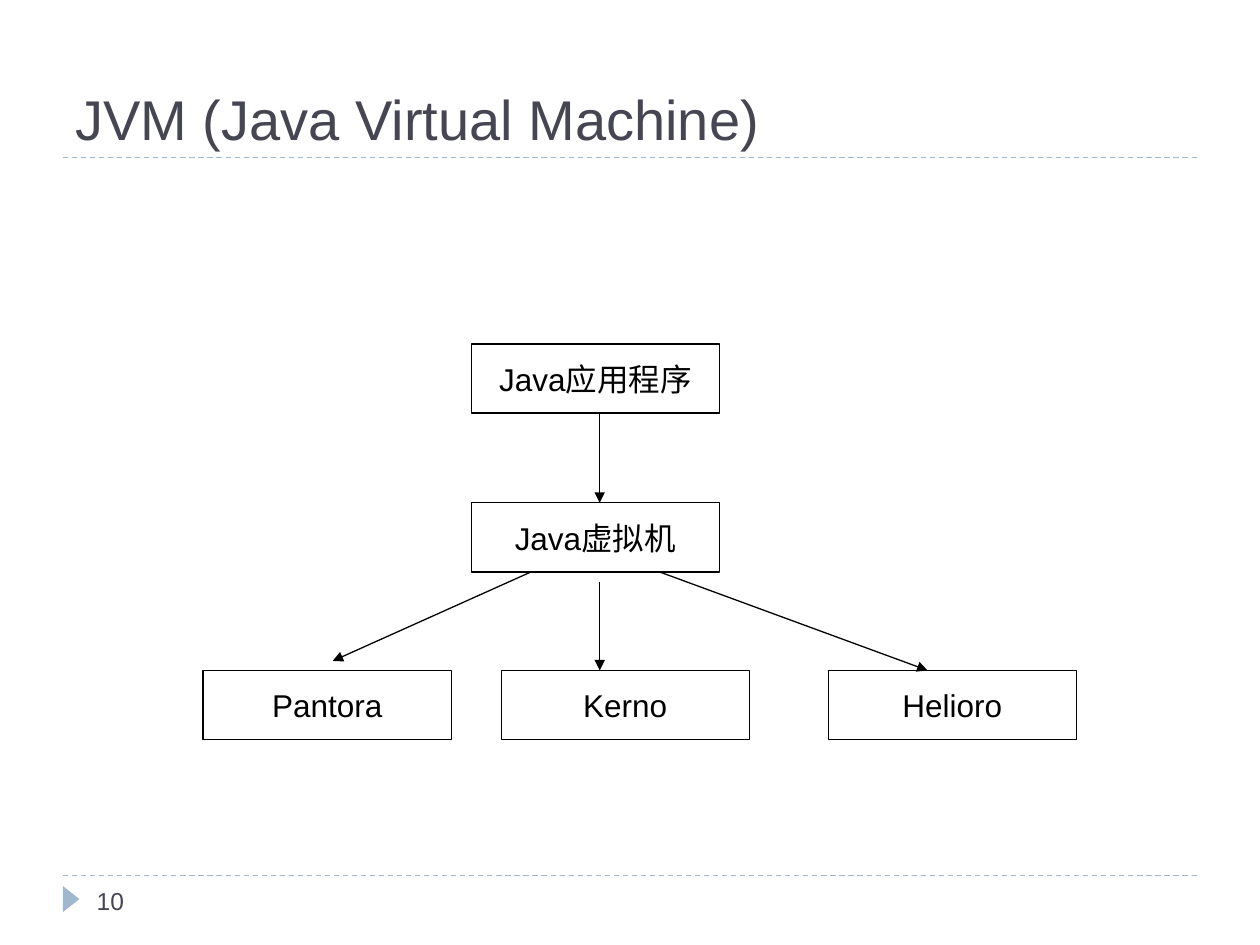
from dataclasses import dataclass

from lxml.etree import SubElement
from pptx import Presentation
from pptx.dml.color import RGBColor
from pptx.enum.dml import MSO_LINE
from pptx.enum.shapes import MSO_CONNECTOR, MSO_SHAPE
from pptx.enum.text import MSO_ANCHOR, PP_ALIGN
from pptx.oxml.ns import qn
from pptx.shapes.autoshape import Shape
from pptx.shapes.connector import Connector
from pptx.slide import Slide
from pptx.util import Pt

BLACK = RGBColor(0x00, 0x00, 0x00)
WHITE = RGBColor(0xFF, 0xFF, 0xFF)
SLATE = RGBColor(0x46, 0x46, 0x53)
PALE_BLUE = RGBColor(0x9F, 0xB8, 0xCD)

FONT = "Arial"
LINE_WIDTH = 0.75
BOX_WIDTH, BOX_HEIGHT = 141.8, 39.6
PROGRAM_TOP, MACHINE_TOP, SYSTEM_TOP = 196.5, 287.3, 383.1
MACHINE_BOTTOM = MACHINE_TOP + BOX_HEIGHT
CENTRE_LEFT, FLOW_X = 269.3, 342.7
RULE_LEFT, RULE_RIGHT = 36, 684


@dataclass(frozen=True)
class Box:
    label: str
    left: float
    top: float


@dataclass(frozen=True)
class Segment:
    x1: float
    y1: float
    x2: float
    y2: float


BOXES = [
    Box("Java应用程序", CENTRE_LEFT, PROGRAM_TOP),
    Box("Java虚拟机", CENTRE_LEFT, MACHINE_TOP),
    Box("Pantora", 116.1, SYSTEM_TOP),
    Box("Kerno", 286.4, SYSTEM_TOP),
    Box("Helioro", 473.3, SYSTEM_TOP),
]

ARROWS = [
    Segment(FLOW_X, PROGRAM_TOP + BOX_HEIGHT, FLOW_X, MACHINE_TOP),
    Segment(303.3, MACHINE_BOTTOM, 190.1, 377.7),
    Segment(FLOW_X, 332.4, FLOW_X, SYSTEM_TOP),
    Segment(377.1, MACHINE_BOTTOM, 530, SYSTEM_TOP),
]

RULES = [Segment(RULE_LEFT, y, RULE_RIGHT, y) for y in (500.4, 90)]


def write_text(
    shape: Shape,
    text: str,
    *,
    size: float,
    color: RGBColor,
    align: PP_ALIGN = PP_ALIGN.LEFT,
    anchor: MSO_ANCHOR = MSO_ANCHOR.TOP,
    wrap: bool = True,
) -> None:
    frame = shape.text_frame
    frame.word_wrap = wrap
    frame.vertical_anchor = anchor
    paragraph = frame.paragraphs[0]
    paragraph.alignment = align
    run = paragraph.add_run()
    run.text = text
    run.font.name = FONT
    run.font.size = Pt(size)
    run.font.color.rgb = color


def draw_segment(slide: Slide, segment: Segment, color: RGBColor) -> Connector:
    connector = slide.shapes.add_connector(
        MSO_CONNECTOR.STRAIGHT,
        Pt(segment.x1), Pt(segment.y1), Pt(segment.x2), Pt(segment.y2),
    )
    connector.line.color.rgb = color
    connector.line.width = Pt(LINE_WIDTH)
    SubElement(connector._element.spPr, qn("a:effectLst"))
    return connector


def draw_rule(slide: Slide, rule: Segment) -> None:
    draw_segment(slide, rule, PALE_BLUE).line.dash_style = MSO_LINE.DASH


def draw_arrow(slide: Slide, arrow: Segment) -> None:
    connector = draw_segment(slide, arrow, BLACK)
    SubElement(connector.line._get_or_add_ln(), qn("a:tailEnd"), type="triangle")


def draw_box(slide: Slide, box: Box) -> None:
    rectangle = slide.shapes.add_shape(
        MSO_SHAPE.RECTANGLE,
        Pt(box.left), Pt(box.top), Pt(BOX_WIDTH), Pt(BOX_HEIGHT),
    )
    rectangle.shadow.inherit = False
    rectangle.fill.solid()
    rectangle.fill.fore_color.rgb = WHITE
    rectangle.line.color.rgb = BLACK
    rectangle.line.width = Pt(LINE_WIDTH)
    write_text(
        rectangle, box.label, size=18, color=BLACK,
        align=PP_ALIGN.CENTER, anchor=MSO_ANCHOR.MIDDLE, wrap=False,
    )


def draw_page_marker(slide: Slide) -> None:
    marker = slide.shapes.add_shape(
        MSO_SHAPE.ISOSCELES_TRIANGLE, Pt(33.1), Pt(509), Pt(15), Pt(9.5)
    )
    marker.rotation = 90
    marker.shadow.inherit = False
    marker.fill.solid()
    marker.fill.fore_color.rgb = PALE_BLUE
    marker.line.fill.background()


def main() -> None:
    presentation = Presentation()
    presentation.slide_width = Pt(720)
    presentation.slide_height = Pt(540)
    slide = presentation.slides.add_slide(presentation.slide_layouts[6])

    for rule in RULES:
        draw_rule(slide, rule)
    draw_page_marker(slide)

    title = slide.shapes.add_textbox(Pt(36), Pt(12.2), Pt(648), Pt(77.8))
    write_text(
        title, "JVM (Java Virtual Machine)",
        size=32, color=SLATE, anchor=MSO_ANCHOR.BOTTOM,
    )

    for box in BOXES:
        draw_box(slide, box)
    for arrow in ARROWS:
        draw_arrow(slide, arrow)

    page_number = slide.shapes.add_textbox(Pt(48.2), Pt(502.6), Pt(168), Pt(37.4))
    write_text(page_number, "10", size=14, color=SLATE)

    presentation.save("out.pptx")


if __name__ == "__main__":
    main()
